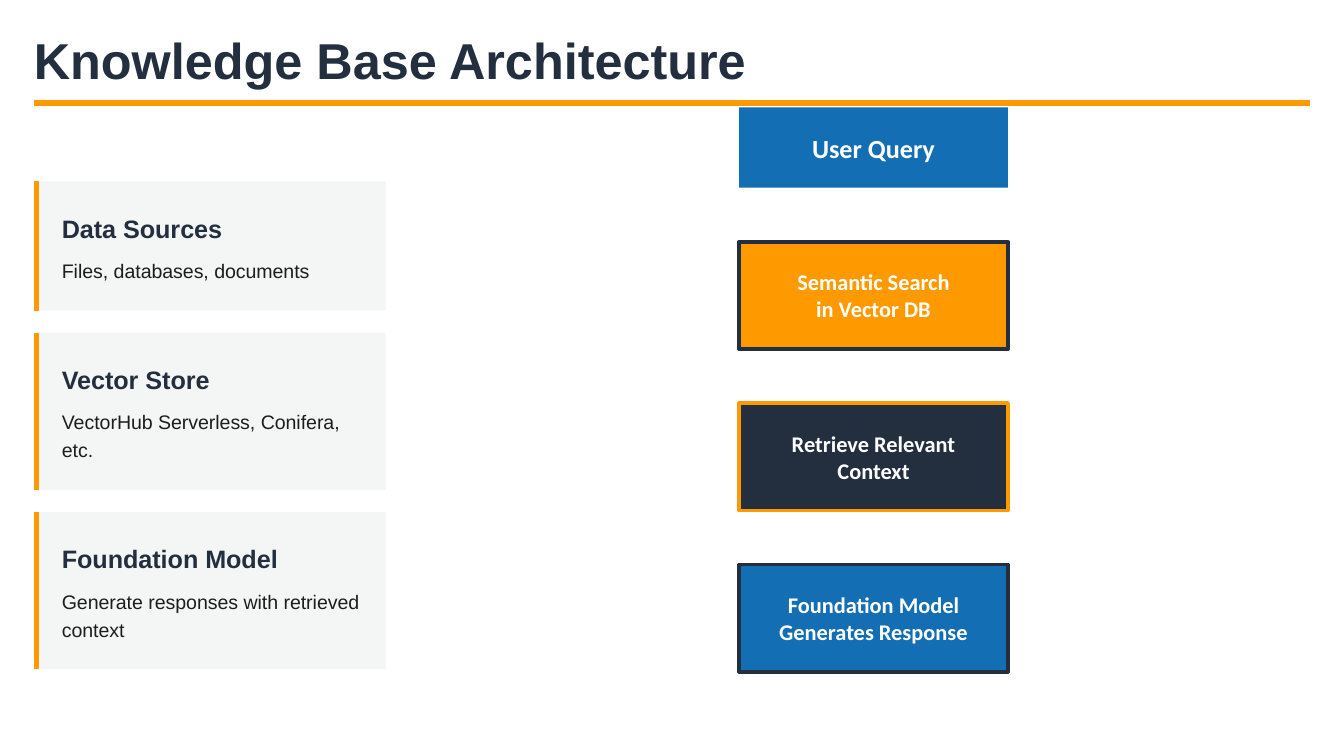
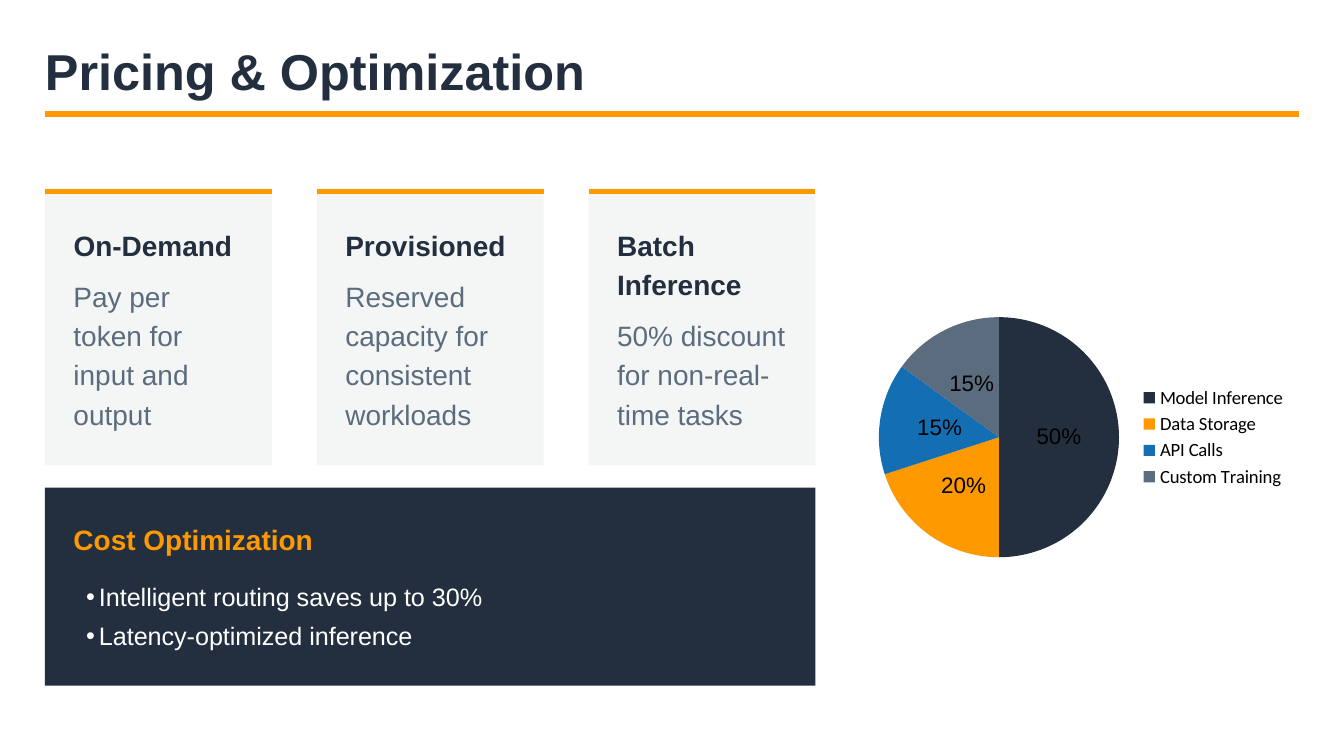
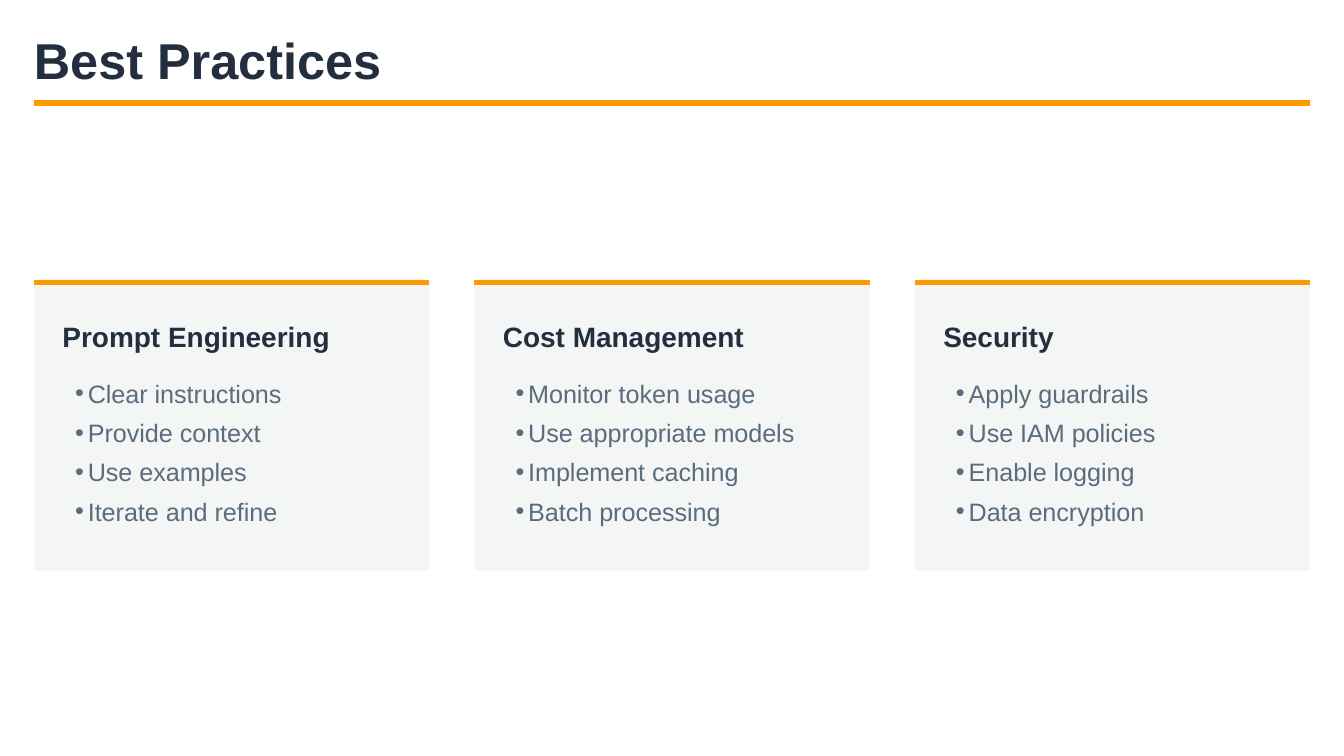
from lxml.etree import SubElement
from pptx import Presentation
from pptx.chart.data import CategoryChartData
from pptx.dml.color import RGBColor
from pptx.enum.chart import XL_CHART_TYPE as ChartType
from pptx.enum.chart import XL_LABEL_POSITION as LabelPosition
from pptx.enum.chart import XL_LEGEND_POSITION as LegendPosition
from pptx.enum.shapes import MSO_CONNECTOR as Connector
from pptx.enum.shapes import MSO_SHAPE as Shape
from pptx.enum.text import MSO_ANCHOR as Anchor
from pptx.enum.text import MSO_AUTO_SIZE as AutoSize
from pptx.enum.text import PP_ALIGN as Align
from pptx.oxml.ns import qn
from pptx.util import Cm, Pt

NAVY = RGBColor(0x23, 0x2F, 0x3E)
ORANGE = RGBColor(0xFF, 0x99, 0x00)
BLUE = RGBColor(0x14, 0x6E, 0xB4)
SLATE = RGBColor(0x5A, 0x6C, 0x7D)
PALE = RGBColor(0xF4, 0xF6, 0xF6)
INK = RGBColor(0x1D, 0x1D, 0x1D)
WHITE = RGBColor(0xFF, 0xFF, 0xFF)
BLACK = RGBColor(0, 0, 0)

# Lengths are in centimetres.
SLIDE_WIDTH, SLIDE_HEIGHT = 25.4, 14.29
NARROW_MARGIN, WIDE_MARGIN = 0.64, 0.85
COLUMN_GAP = 0.85
CARD_INSET = 0.54
HEADING_DROP = 0.66
LINE_HEIGHT = 0.74
LIST_DROP = 1.04  # from the top of a heading to the list below it

LAYOUT_CONTENT, LAYOUT_COMPARISON, LAYOUT_TITLE = 1, 4, 5


def place(shape, left, top, width, height):
    shape.left, shape.top = Cm(left), Cm(top)
    shape.width, shape.height = Cm(width), Cm(height)


def style_font(font, size, color, bold=False, name="Arial"):
    font.name, font.size, font.bold = name, Pt(size), bold
    font.color.rgb = color


def write(shape, lines, size, color, bold=False, spacing=21, before=0, after=0, bulleted=False):
    """Fill a text box or placeholder, one paragraph for each line."""
    frame = shape.text_frame
    frame.text = "\n".join(lines)
    frame.word_wrap = True
    frame.auto_size = AutoSize.NONE
    frame.vertical_anchor = Anchor.TOP
    frame.margin_left = Cm(0.24 if bulleted else 0)
    frame.margin_top = frame.margin_right = frame.margin_bottom = 0
    for paragraph in frame.paragraphs:
        paragraph.alignment = Align.LEFT
        paragraph.line_spacing = Pt(spacing)
        paragraph.space_before, paragraph.space_after = Pt(before), Pt(after)
        if bulleted:
            properties = paragraph._p.get_or_add_pPr()
            properties.set("marL", str(Cm(0.24)))
            properties.set("indent", str(-Cm(0.24)))
            SubElement(properties, qn("a:buChar"), char="•")
        style_font(paragraph.font, size, color, bold)


def add_text(slide, left, top, width, height, text, size, color, **style):
    box = slide.shapes.add_textbox(Cm(left), Cm(top), Cm(width), Cm(height))
    write(box, [text], size, color, **style)


def add_rectangle(slide, left, top, width, height, fill, line=None):
    shape = slide.shapes.add_shape(Shape.RECTANGLE, Cm(left), Cm(top), Cm(width), Cm(height))
    shape.shadow.inherit = False
    shape.fill.solid()
    shape.fill.fore_color.rgb = fill
    if line is None:
        shape.line.fill.background()
    else:
        shape.line.color.rgb = line
        shape.line.width = Pt(2)
    return shape


def add_accent(slide, x1, y1, x2, y2):
    line = slide.shapes.add_connector(Connector.STRAIGHT, Cm(x1), Cm(y1), Cm(x2), Cm(y2))
    line.line.color.rgb = ORANGE
    line.line.width = Pt(3)
    SubElement(line._element.spPr, qn("a:effectLst"))


def add_titled_slide(presentation, layout, title, margin):
    slide = presentation.slides.add_slide(presentation.slide_layouts[layout])
    place(slide.shapes.title, margin, margin, 14, 1.06)
    write(slide.shapes.title, [title], 27, NAVY, bold=True, spacing=30)
    rule = margin + 1.31
    add_accent(slide, margin, rule, SLIDE_WIDTH - margin, rule)
    return slide


def columns(left, width, count):
    """Return the left edges and the shared width of equal columns."""
    column = (width - (count - 1) * COLUMN_GAP) / count
    return [left + i * (column + COLUMN_GAP) for i in range(count)], column


def add_side_card(slide, top, heading, text, line_count):
    """Add a card with an accent on its left; return its height."""
    left, inset, text_width = NARROW_MARGIN, 0.53, 5.82
    height = 1.91 + 0.53 * line_count
    add_rectangle(slide, left, top, 6.65, height, PALE)
    add_accent(slide, left + 0.05, top, left + 0.05, top + height)
    add_text(slide, left + inset, top + 0.43, text_width, LINE_HEIGHT, heading, 13.5, NAVY,
             bold=True, after=6)
    add_text(slide, left + inset, top + 1.38, text_width, 0.53 * line_count, text, 10.5, INK,
             spacing=15, before=3, after=3)
    return height


def add_top_card(slide, left, top, width, height, heading, heading_lines=1):
    """Add a card with an accent along its top and a heading."""
    add_rectangle(slide, left, top, width, height, PALE)
    add_accent(slide, left, top + 0.06, left + width, top + 0.06)
    add_text(slide, left + CARD_INSET, top + HEADING_DROP, width - 2 * CARD_INSET + 0.05,
             LINE_HEIGHT * heading_lines, heading, 15, NAVY, bold=True, after=6)


def fill_list(placeholder, left, top, width, items, color):
    place(placeholder, left, top, width, 0.8 * len(items))
    write(placeholder, items, 13.5, color, bulleted=True)


def add_step(slide, top, height, lines, size, fill, line=None):
    shape = add_rectangle(slide, 13.97, top, 5.08, height, fill, line)
    frame = shape.text_frame
    frame.text = "\n".join(lines)
    frame.vertical_anchor = Anchor.MIDDLE
    for paragraph in frame.paragraphs:
        paragraph.alignment = Align.CENTER
        style_font(paragraph.font, size, WHITE, bold=True, name="Calibri")


def add_cost_chart(slide):
    costs = [("Model Inference", 50, NAVY), ("Data Storage", 20, ORANGE),
             ("API Calls", 15, BLUE), ("Custom Training", 15, SLATE)]
    data = CategoryChartData()
    data.categories = [name for name, _, _ in costs]
    data.add_series("Series 1", [share for _, share, _ in costs])
    chart = slide.shapes.add_chart(
        ChartType.PIE, Cm(16.26), Cm(4.11), Cm(8.31), Cm(8.31), data).chart
    chart.has_title = False
    style_font(chart.font, 10, BLACK, name="Calibri")
    chart.has_legend = True
    chart.legend.position = LegendPosition.RIGHT
    chart.legend.include_in_layout = False

    plot = chart.plots[0]
    plot.vary_by_categories = True
    for i, (_, _, color) in enumerate(costs):
        fill = plot.series[0].points[i].format.fill
        fill.solid()
        fill.fore_color.rgb = color
    plot.has_data_labels = True
    labels = plot.data_labels
    labels.show_percentage, labels.show_value = True, False
    labels.number_format, labels.number_format_is_linked = "0%", False
    labels.position = LabelPosition.CENTER
    style_font(labels.font, 12, BLACK)


def build_architecture(presentation):
    slide = add_titled_slide(presentation, LAYOUT_TITLE, "Knowledge Base Architecture",
                             NARROW_MARGIN)
    top = 3.43
    for heading, text, line_count in [
        ("Data Sources", "Files, databases, documents", 1),
        ("Vector Store", "VectorHub Serverless, Conifera, etc.", 2),
        ("Foundation Model", "Generate responses with retrieved context", 2),
    ]:
        top += add_side_card(slide, top, heading, text, line_count) + 0.42

    add_step(slide, 2.03, 1.52, ["User Query"], 14, BLUE)
    for i, (lines, fill, line) in enumerate([
        (["Semantic Search", "in Vector DB"], ORANGE, NAVY),
        (["Retrieve Relevant", "Context"], NAVY, ORANGE),
        (["Foundation Model", "Generates Response"], BLUE, NAVY),
    ]):
        add_step(slide, 4.57 + 3.05 * i, 2.03, lines, 12, fill, line)


def build_pricing(presentation):
    slide = add_titled_slide(presentation, LAYOUT_CONTENT, "Pricing & Optimization", WIDE_MARGIN)
    plans = [
        ("On-Demand", 1, "Pay per token for input and output", 4),
        ("Provisioned", 1, "Reserved capacity for consistent workloads", 4),
        ("Batch Inference", 2, "50% discount for non-real-time tasks", 3),
    ]
    top, total_width = 3.56, 14.56
    lefts, width = columns(WIDE_MARGIN, total_width, len(plans))
    for left, (heading, heading_lines, text, text_lines) in zip(lefts, plans):
        add_top_card(slide, left, top, width, 5.24, heading, heading_lines)
        add_text(slide, left + CARD_INSET, top + 0.88 + LINE_HEIGHT * heading_lines, 3.25,
                 LINE_HEIGHT * text_lines, text, 15, SLATE, before=3, after=3)

    panel_top, text_left = 9.22, WIDE_MARGIN + CARD_INSET
    heading_top = panel_top + 0.56
    panel = add_rectangle(slide, WIDE_MARGIN, panel_top, total_width, 3.74, NAVY)
    add_text(slide, text_left, heading_top, 13.74, LINE_HEIGHT, "Cost Optimization", 15, ORANGE,
             bold=True, after=8.4)
    tips = slide.placeholders[1]
    fill_list(tips, text_left, heading_top + LIST_DROP, 13.46,
              ["Intelligent routing saves up to 30%", "Latency-optimized inference"], WHITE)
    panel._element.addnext(tips._element)  # bring the list in front of the panel
    add_cost_chart(slide)


def build_practices(presentation):
    slide = add_titled_slide(presentation, LAYOUT_COMPARISON, "Best Practices", NARROW_MARGIN)
    practices = [
        ("Prompt Engineering",
         ["Clear instructions", "Provide context", "Use examples", "Iterate and refine"]),
        ("Cost Management",
         ["Monitor token usage", "Use appropriate models", "Implement caching",
          "Batch processing"]),
        ("Security",
         ["Apply guardrails", "Use IAM policies", "Enable logging", "Data encryption"]),
    ]
    top = 5.28
    lefts, width = columns(NARROW_MARGIN, SLIDE_WIDTH - 2 * NARROW_MARGIN, len(practices))
    title, *bodies = slide.placeholders
    for left, body, (heading, items) in zip(lefts, bodies, practices):
        add_top_card(slide, left, top, width, 5.51, heading)
        fill_list(body, left + CARD_INSET, top + HEADING_DROP + LIST_DROP, 6.38, items, SLATE)
        slide.shapes._spTree.append(body._element)  # bring the list in front of its card
    for spare in bodies[len(practices):]:
        spare._element.getparent().remove(spare._element)


def main():
    presentation = Presentation()
    presentation.slide_width, presentation.slide_height = Cm(SLIDE_WIDTH), Cm(SLIDE_HEIGHT)
    build_architecture(presentation)
    build_pricing(presentation)
    build_practices(presentation)
    presentation.save("out.pptx")


if __name__ == "__main__":
    main()
